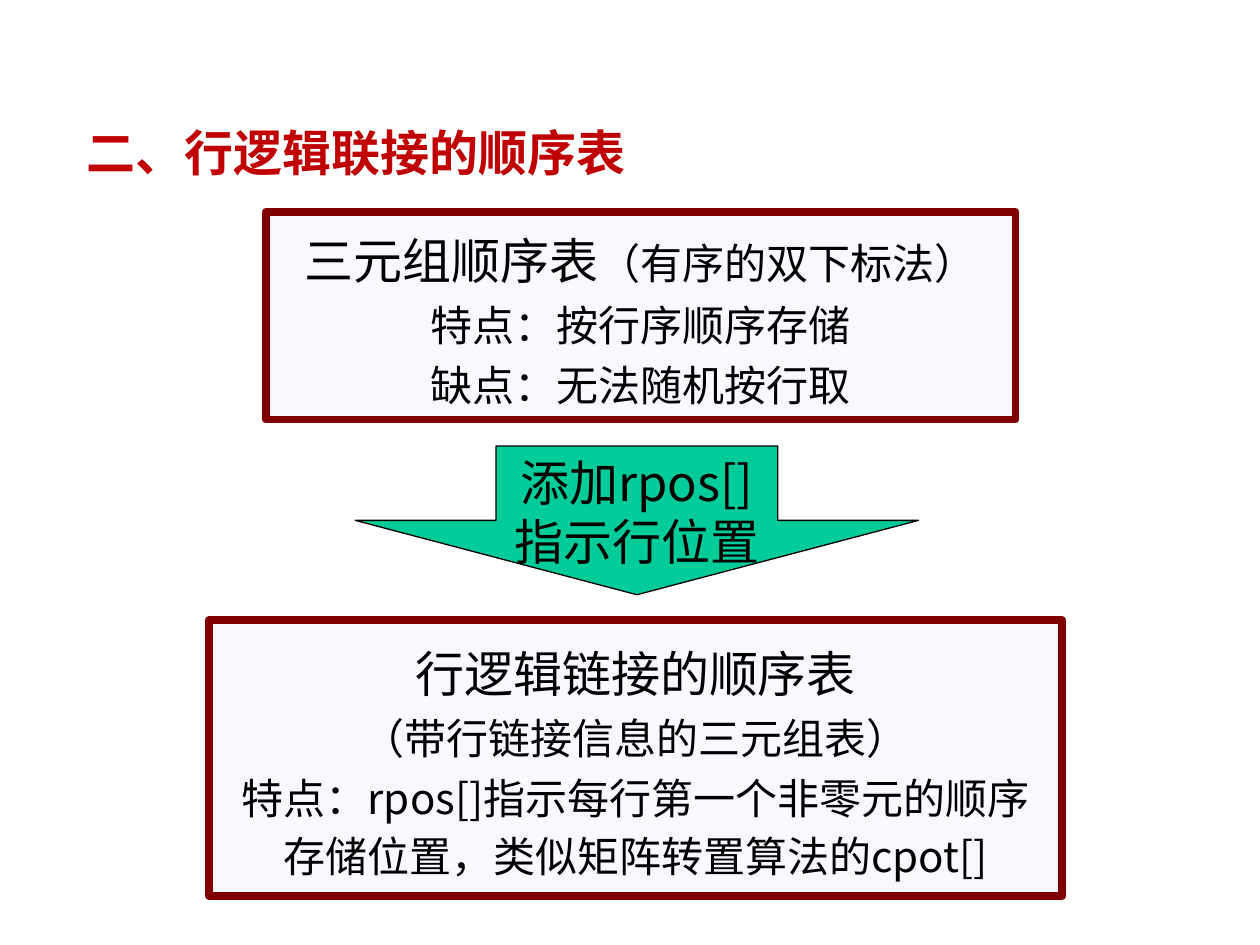
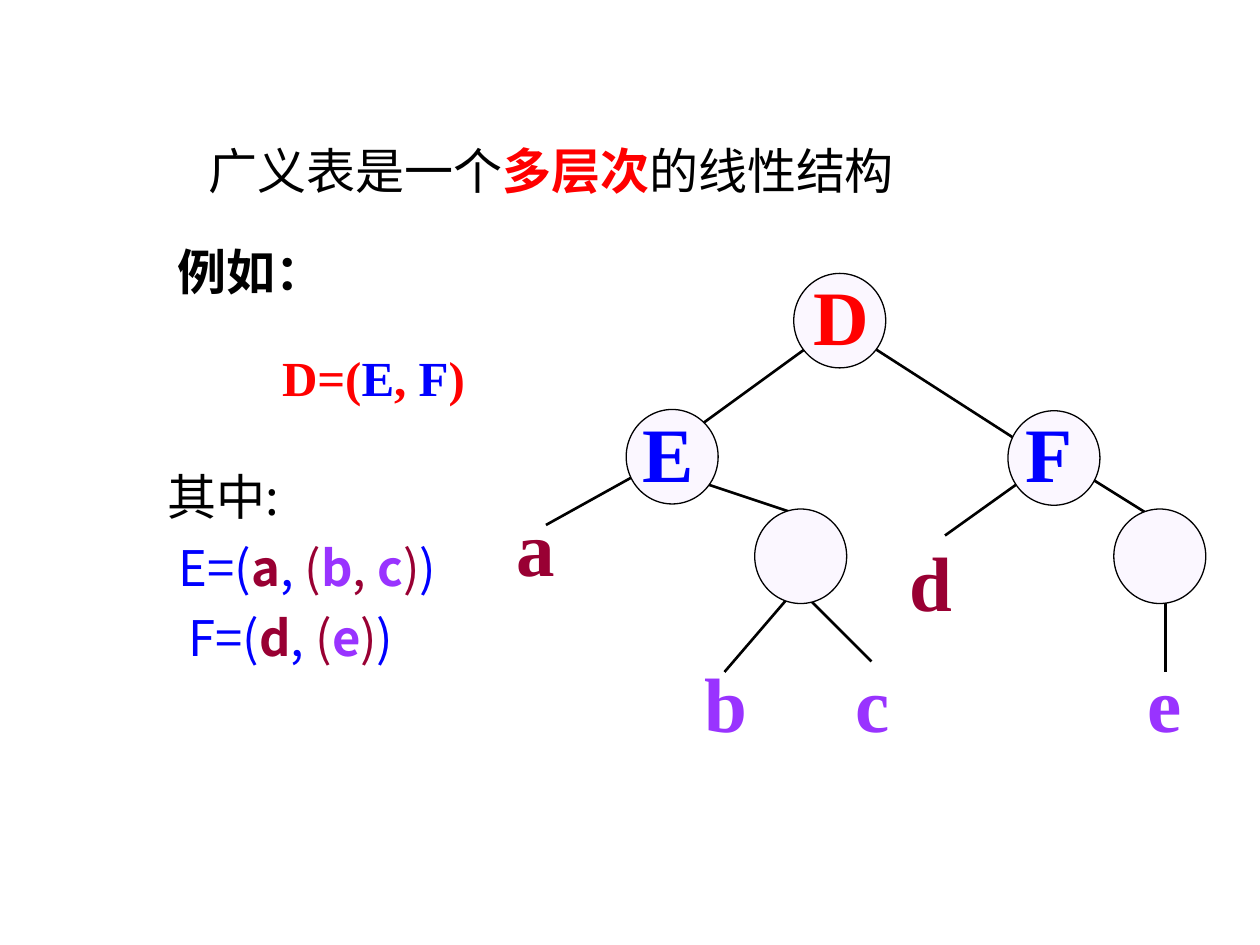
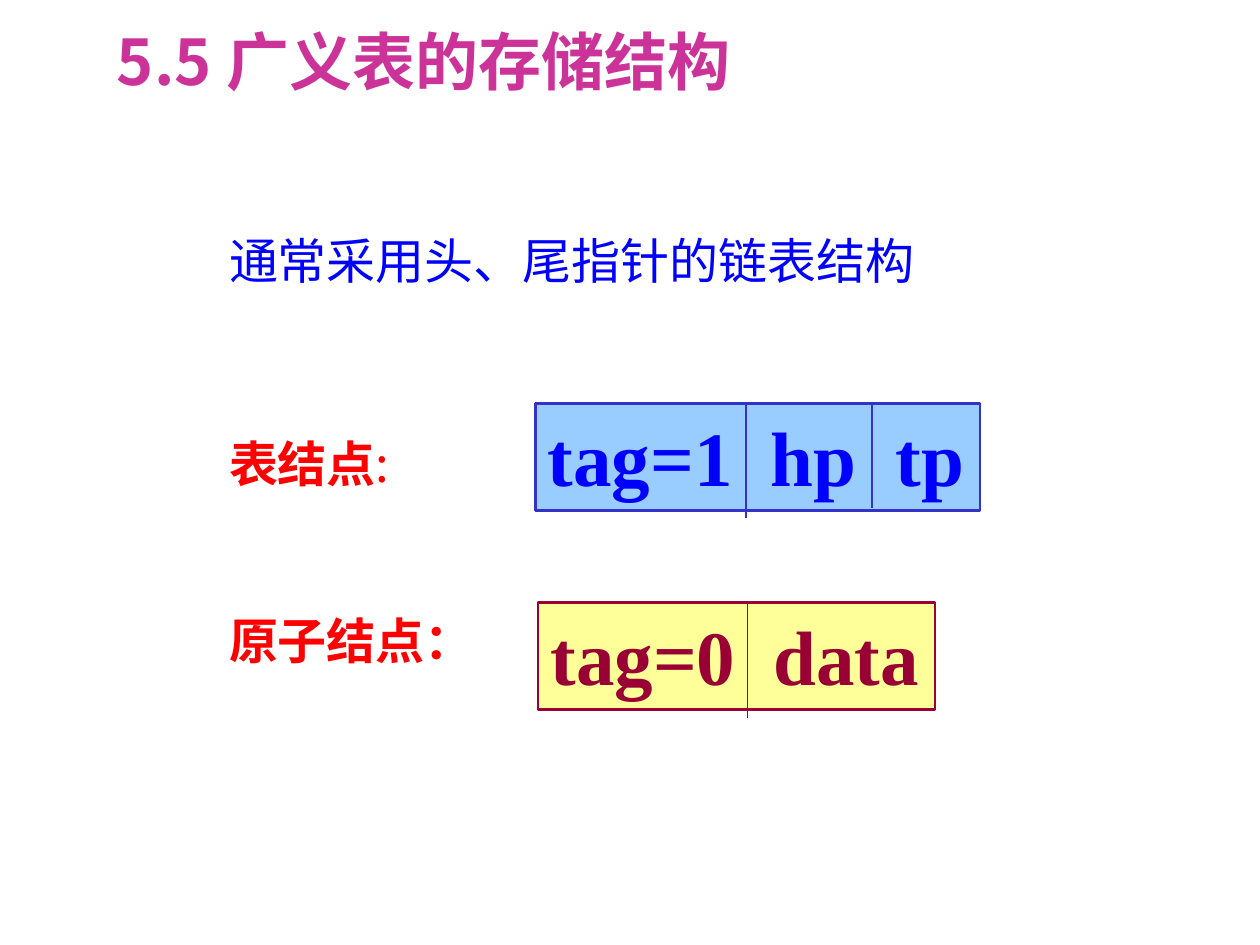
from typing import NamedTuple

from lxml import etree
from pptx import Presentation
from pptx.dml.color import RGBColor
from pptx.enum.shapes import MSO_CONNECTOR, MSO_SHAPE
from pptx.enum.text import MSO_ANCHOR, MSO_AUTO_SIZE, PP_ALIGN
from pptx.oxml.ns import qn
from pptx.util import Inches, Pt

RECT, OVAL, ARROW = MSO_SHAPE.RECTANGLE, MSO_SHAPE.OVAL, MSO_SHAPE.DOWN_ARROW
LEFT, CENTER = PP_ALIGN.LEFT, PP_ALIGN.CENTER
TOP, MIDDLE = MSO_ANCHOR.TOP, MSO_ANCHOR.MIDDLE
FIT = MSO_AUTO_SIZE.SHAPE_TO_FIT_TEXT
LINE = MSO_CONNECTOR.STRAIGHT

WIDTH, HEIGHT = 10, 7.5
COLS, ROWS = 120, 90
SANS, SERIF = "Noto Sans CJK SC", "Times New Roman"
COLORS = {
    "black": "000000", "red": "FF0000", "blue": "0000FF", "wine": "990033",
    "violet": "9933FF", "head": "C00000", "pink": "CC3399", "pale": "FBF7FF",
    "frame": "800000", "green": "00CC99", "sky": "99CCFF", "navy": "3333CC",
    "yellow": "FFFF99",
}


class Box(NamedTuple):
    """Left, top, width and height in grid cells."""
    x: float
    y: float
    w: float
    h: float


class Run(NamedTuple):
    """A piece of text; None keeps the paragraph's style."""
    text: str
    color: str | None = None
    bold: bool | None = None
    size: float | None = None


class Style(NamedTuple):
    size: float = 28
    color: str = "black"
    bold: bool = False
    font: str = SANS
    align: PP_ALIGN = LEFT
    spacing: float = 1
    after: float = 0


class Para(NamedTuple):
    """Runs with a style, an indent in inches, space before in points and tab stops in inches."""
    runs: list[Run]
    style: Style = Style()
    indent: float = 0
    before: float = 0
    tabs: tuple[float, ...] = ()


class Node(NamedTuple):
    """A circle of the tree and the name written on it."""
    x: float
    y: float
    name: str = ""
    color: str = "black"
    spot: Box | None = None


class Leaf(NamedTuple):
    name: str
    color: str
    spot: Box


class Record(NamedTuple):
    """A list node divided into fields."""
    text: str
    box: Box
    fill: str
    ink: str
    edge: str
    tabs: tuple[float, ...]
    cuts: tuple[tuple[float, float], ...]


def col(n: float) -> int:
    return Inches(WIDTH * n / COLS)


def row(n: float) -> int:
    return Inches(HEIGHT * n / ROWS)


def place(box: Box) -> tuple[int, int, int, int]:
    return col(box.x), row(box.y), col(box.w), row(box.h)


def rgb(name: str) -> RGBColor:
    return RGBColor.from_string(COLORS[name])


def set_tabs(para, stops: tuple[float, ...]) -> None:
    group = etree.SubElement(para._p.get_or_add_pPr(), qn("a:tabLst"))
    for stop in stops:
        etree.SubElement(group, qn("a:tab"), pos=str(Inches(stop)), algn="l")


def set_face(font, face: str) -> None:
    """Use one typeface for Latin and Chinese letters."""
    font.name = face
    etree.SubElement(font._element, qn("a:ea"), typeface=face)


def write(frame, paras: list[Para]) -> None:
    for i, item in enumerate(paras):
        para = frame.add_paragraph() if i else frame.paragraphs[0]
        style = item.style
        para.alignment = style.align
        para.line_spacing = style.spacing
        para.space_after = Pt(style.after)
        if item.before:
            para.space_before = Pt(item.before)
        if item.indent:
            para._p.get_or_add_pPr().set("marL", str(Inches(item.indent)))
        if item.tabs:
            set_tabs(para, item.tabs)
        para.font.size = Pt(style.size)
        para.font.bold = style.bold
        para.font.color.rgb = rgb(style.color)
        set_face(para.font, style.font)
        for part in item.runs:
            run = para.add_run()
            run.text = part.text
            if part.color:
                run.font.color.rgb = rgb(part.color)
            if part.bold is not None:
                run.font.bold = part.bold
            if part.size:
                run.font.size = Pt(part.size)


def add_text(slide, box: Box, paras: list[Para], tight: bool = False) -> None:
    """Add a text box; a tight one has no margins and centres its text."""
    frame = slide.shapes.add_textbox(*place(box)).text_frame
    frame.word_wrap = False
    frame.auto_size = FIT
    if tight:
        frame.margin_left = frame.margin_right = 0
        frame.margin_top = frame.margin_bottom = 0
        frame.vertical_anchor = MIDDLE
    write(frame, paras)


def add_line(slide, start: tuple, end: tuple, color: str, width: float) -> None:
    line = slide.shapes.add_connector(
        LINE, col(start[0]), row(start[1]), col(end[0]), row(end[1]))
    line.line.color.rgb = rgb(color)
    line.line.width = Pt(width)
    etree.SubElement(line._element.spPr, qn("a:effectLst"))


def add_form(slide, kind, box: Box, fill: str, edge: str, width: float):
    form = slide.shapes.add_shape(kind, *place(box))
    form.shadow.inherit = False
    form.fill.solid()
    form.fill.fore_color.rgb = rgb(fill)
    form.line.color.rgb = rgb(edge)
    form.line.width = Pt(width)
    return form


def draw_change(slide) -> None:
    """Show how the triple table becomes a row-linked one."""
    head = Style(color="head", bold=True)
    add_text(slide, Box(7.08, 11.04, 53.76, 6.84),
             [Para([Run("二、行逻辑联接的顺序表")], head)])
    body = Style(24, align=CENTER, spacing=1.15, after=1.5)
    panels = [
        (Box(25.32, 20.16, 71.4, 19.8), [
            [Run("三元组顺序表", size=28), Run("（有序的双下标法）")],
            [Run("特点：按行序顺序存储")],
            [Run("缺点：无法随机按行取")]]),
        (Box(19.92, 59.04, 81.24, 26.28), [
            [Run("行逻辑链接的顺序表", size=28)],
            [Run("（带行链接信息的三元组表）")],
            [Run("特点：rpos[]指示每行第一个非零元的顺序存储位置，"
                 "类似矩阵转置算法的cpot[]")]]),
    ]
    for box, lines in panels:
        frame = add_form(slide, RECT, box, "pale", "frame", 4.5).text_frame
        frame.word_wrap = True
        frame.vertical_anchor = MIDDLE
        write(frame, [Para(runs, body) for runs in lines])
    frame = add_form(slide, ARROW, Box(33.84, 42.48, 53.64, 14.16),
                     "green", "black", 0.75).text_frame
    frame.word_wrap = True
    frame.vertical_anchor = TOP
    write(frame, [Para([Run("添加rpos[]指示行位置")], Style(align=CENTER))])


def draw_tree(slide) -> None:
    edges = [
        ((77, 33), (66, 41)), ((83, 33), (97, 42)), ((61, 45), (52, 50)),
        ((67, 46), (76, 49)), ((75, 57), (69, 64)), ((77, 57), (83, 63)),
        ((97, 46), (90, 51)), ((103, 45), (111, 50)), ((111, 56), (111, 64)),
    ]
    nodes = [
        Node(75.6, 26.04, "D", "red", Box(76.32, 24.96, 7.68, 9.96)),
        Node(59.64, 39, "E", "blue", Box(60, 38.04, 7.32, 9.96)),
        Node(96, 39.12, "F", "blue", Box(96.48, 38.04, 6.84, 9.96)),
        Node(71.88, 48.48),
        Node(106.08, 48.48),
    ]
    leaves = [
        Leaf("a", "wine", Box(48, 47.52, 6.12, 8.88)),
        Leaf("d", "wine", Box(86.64, 50.88, 4.08, 8.88)),
        Leaf("b", "violet", Box(67.08, 62.4, 4.08, 8.88)),
        Leaf("c", "violet", Box(81.48, 62.4, 3.24, 8.88)),
        Leaf("e", "violet", Box(109.32, 62.4, 3.24, 8.88)),
    ]
    for start, end in edges:
        add_line(slide, start, end, "black", 1.5)
    for node in nodes:
        add_form(slide, OVAL, Box(node.x, node.y, 8.76, 9), "pale", "black", 0.75)
        if node.spot:
            style = Style(44, node.color, True, SERIF)
            add_text(slide, node.spot, [Para([Run(node.name)], style)])
    for leaf in leaves:
        style = Style(44, leaf.color, True, SERIF, CENTER)
        add_text(slide, leaf.spot, [Para([Run(leaf.name)], style)], tight=True)


def draw_levels(slide) -> None:
    """Explain the nested list beside its tree."""
    add_text(slide, Box(18.72, 12.84, 67.68, 6.84), [Para([
        Run("广义表是一个"), Run("多层次", "red", True), Run("的线性结构")])])
    add_text(slide, Box(15.72, 22.44, 16.44, 6.84),
             [Para([Run("例如：")], Style(bold=True))])
    add_text(slide, Box(25.68, 32.52, 19.92, 6.84), [Para([
        Run("D=("), Run("E", "blue"), Run(", "), Run("F", "blue"), Run(")")],
        Style(color="red", bold=True, font=SERIF))])
    plain = Style(spacing=1.2)
    blue = plain._replace(color="blue")
    add_text(slide, Box(14.76, 42.72, 29.28, 21.6), [
        Para([Run("其中:")], plain),
        Para([Run("E=("), Run("a", "wine", True), Run(", "), Run("(", "wine"),
              Run("b", "violet", True), Run(", ", "wine"),
              Run("c", "violet", True), Run(")", "wine"), Run(")")],
             blue, indent=0.09),
        Para([Run("F=("), Run("d", "wine", True), Run(","), Run(" (", "wine"),
              Run("e", "violet", True), Run(")", "wine"), Run(")")],
             blue, indent=0.17),
    ])
    draw_tree(slide)


def draw_store(slide) -> None:
    """Show the fields of both kinds of list node."""
    add_text(slide, Box(9.96, 1.56, 62.64, 8.4),
             [Para([Run("5.5 广义表的存储结构")], Style(36, "pink", True))])
    add_text(slide, Box(20.64, 21.36, 67.68, 6.84),
             [Para([Run("通常采用头、尾指针的链表结构")], Style(color="blue"))])
    red = Style(color="red", bold=True)
    add_text(slide, Box(20.64, 40.68, 25.68, 23.76), [
        Para([Run("表结点"), Run(":", bold=False)], red),
        Para([Run("原子结点：")], red, before=67.5),
    ])
    records = [
        Record("tag=1\thp\ttp", Box(51, 38.4, 42.36, 10.2), "sky", "blue",
               "navy", (1.77, 2.76), ((71.04, 49.32), (83.04, 48.36))),
        Record("tag=0\tdata", Box(51.24, 57.36, 37.8, 10.2), "yellow", "wine",
               "wine", (1.77,), ((71.16, 68.4),)),
    ]
    for rec in records:
        frame = add_form(slide, RECT, rec.box, rec.fill, rec.edge, 1.5).text_frame
        frame.word_wrap = True
        frame.margin_right = 0
        frame.vertical_anchor = TOP
        write(frame, [Para([Run(rec.text)], Style(44, rec.ink, True, SERIF),
                           tabs=rec.tabs)])
        for x, end in rec.cuts:
            add_line(slide, (x, rec.box.y), (x, end), rec.edge, 0.75)


def main() -> None:
    deck = Presentation()
    deck.slide_width, deck.slide_height = Inches(WIDTH), Inches(HEIGHT)
    for draw in (draw_change, draw_levels, draw_store):
        draw(deck.slides.add_slide(deck.slide_layouts[6]))
    deck.save("out.pptx")


if __name__ == "__main__":
    main()
